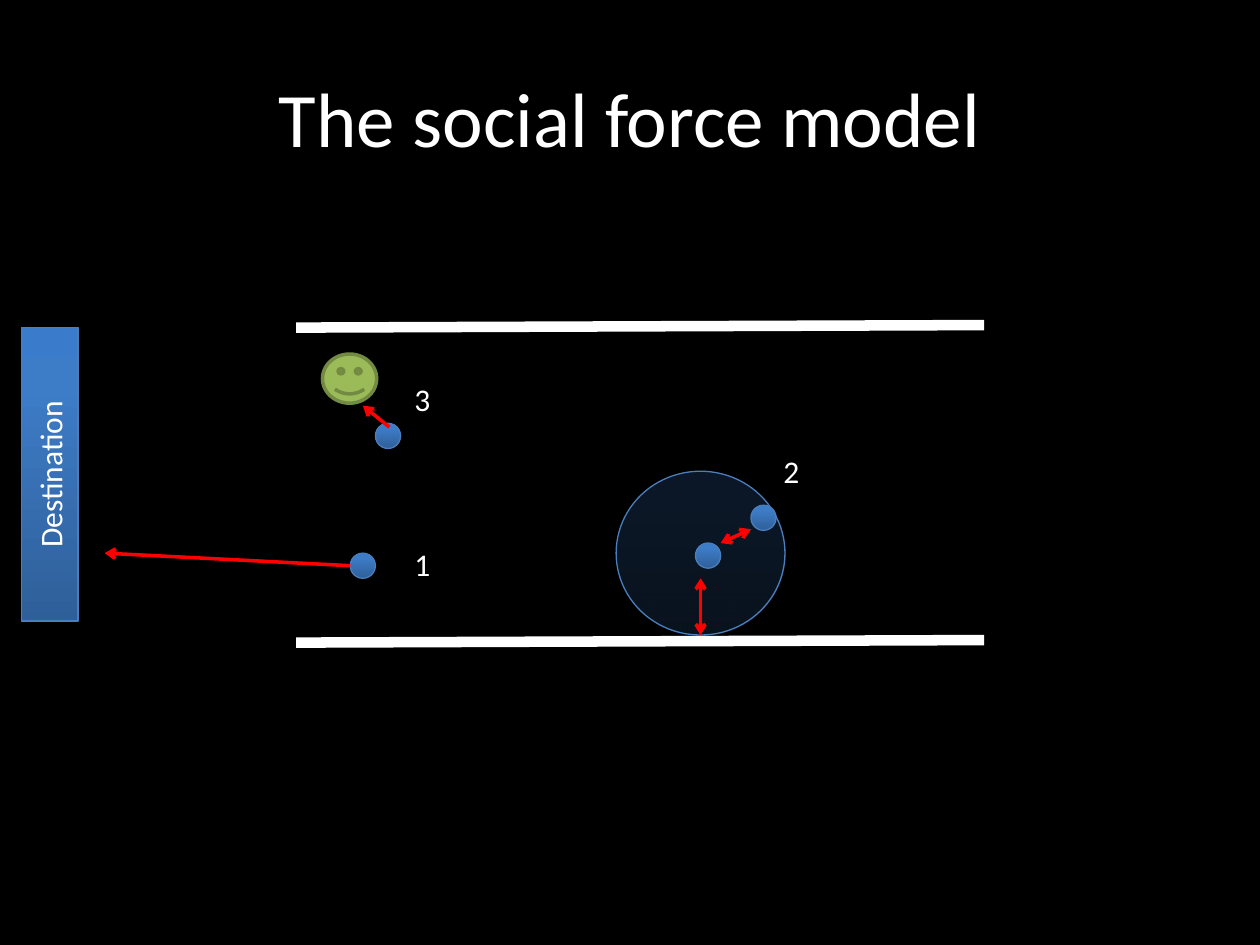
from lxml import etree
from pptx import Presentation
from pptx.dml.color import RGBColor
from pptx.enum.shapes import MSO_CONNECTOR, MSO_SHAPE
from pptx.enum.text import MSO_ANCHOR, PP_ALIGN
from pptx.oxml.ns import qn
from pptx.util import Inches, Pt

OVAL, RECT, SMILEY = MSO_SHAPE.OVAL, MSO_SHAPE.RECTANGLE, MSO_SHAPE.SMILEY_FACE
STRAIGHT = MSO_CONNECTOR.STRAIGHT
MIDDLE = MSO_ANCHOR.MIDDLE
LEFT, CENTER = PP_ALIGN.LEFT, PP_ALIGN.CENTER

WHITE, RED, EDGE = "FFFFFF", "FF0000", "4B7EBC"
BLUES = [(0, "2F5F99"), (80, "3D7CC7"), (100, "3A7CCB")]
DOT = 0.2


def paint(fill, color):
    fill.solid()
    fill.fore_color.rgb = RGBColor.from_string(color)


def write(frame, text, size=18, align=LEFT, wrap=True):
    frame.word_wrap = wrap
    par = frame.paragraphs[0]
    par.alignment = align
    run = par.add_run()
    run.text = text
    run.font.size = Pt(size)
    run.font.name = "Calibri"
    paint(run.font.fill, WHITE)


prs = Presentation()
prs.slide_width, prs.slide_height = Inches(10), Inches(7.5)
slide = prs.slides.add_slide(prs.slide_layouts[5])
paint(slide.background.fill, "000000")

# Title
title = slide.shapes.title
title.left, title.top = Inches(0.5), Inches(0.3)
title.width, title.height = Inches(9), Inches(1.25)
title.text_frame.vertical_anchor = MIDDLE
write(title.text_frame, "The social force model", size=44, align=CENTER)

# Blue shapes: walkers, the zone around one of them, and the destination
blues = [
    (OVAL, 2.78, 4.39, DOT, DOT, 100),
    (OVAL, 2.98, 3.36, DOT, DOT, 100),
    (OVAL, 4.89, 3.74, 1.34, 1.3, 19),
    (OVAL, 5.52, 4.31, DOT, DOT, 100),
    (OVAL, 5.96, 4.01, DOT, DOT, 100),
    (RECT, 0.17, 2.6, 0.45, 2.33, 100),
]
for kind, x, y, w, h, alpha in blues:
    shape = slide.shapes.add_shape(kind, Inches(x), Inches(y), Inches(w), Inches(h))
    shape.shadow.inherit = False
    paint(shape.line.fill, EDGE)
    shape.line.width = Pt(0.75)
    shape.fill.gradient()
    shape.fill.gradient_angle = 90
    stops = shape._element.spPr.find(".//" + qn("a:gsLst"))
    for old in list(stops):
        stops.remove(old)
    for pos, color in BLUES:
        stop = etree.SubElement(stops, qn("a:gs"), pos=str(pos * 1000))
        tint = etree.SubElement(stop, qn("a:srgbClr"), val=color)
        if alpha < 100:
            etree.SubElement(tint, qn("a:alpha"), val=str(alpha * 1000))

# Destination label, read upwards in the last blue shape
goal = shape.text_frame
goal.vertical_anchor = MIDDLE
write(goal, "Destination", align=CENTER)
goal._txBody.bodyPr.set("vert", "vert270")

# Point of attraction
smiley = slide.shapes.add_shape(
    SMILEY, Inches(2.56), Inches(2.81), Inches(0.43), Inches(0.39))
smiley.shadow.inherit = False
paint(smiley.fill, "9BBB59")
paint(smiley.line.fill, "738A42")
smiley.line.width = Pt(2)

# Walls and force arrows
lines = [
    (2.35, 5.1, 7.81, 5.08, WHITE, 6, []),
    (2.35, 2.6, 7.81, 2.58, WHITE, 6, []),
    (3.09, 3.39, 2.88, 3.22, RED, 2, ["tailEnd"]),
    (5.96, 4.2, 5.72, 4.31, RED, 2, ["headEnd", "tailEnd"]),
    (2.78, 4.49, 0.83, 4.39, RED, 2, ["tailEnd"]),
    (5.56, 4.59, 5.56, 5.04, RED, 2, ["headEnd", "tailEnd"]),
]
for x1, y1, x2, y2, color, width, ends in lines:
    line = slide.shapes.add_connector(
        STRAIGHT, Inches(x1), Inches(y1), Inches(x2), Inches(y2))
    paint(line.line.fill, color)
    line.line.width = Pt(width)
    props = line._element.spPr
    for end in ends:
        etree.SubElement(props.find(qn("a:ln")), qn("a:" + end), type="arrow")
    etree.SubElement(props, qn("a:effectLst"))

# Numbers of the forces
for text, x, y in [("1", 3.19, 4.28), ("2", 6.12, 3.54), ("3", 3.19, 2.97)]:
    label = slide.shapes.add_textbox(Inches(x), Inches(y), Inches(0.33), Inches(0.4))
    write(label.text_frame, text, wrap=False)

prs.save("out.pptx")
